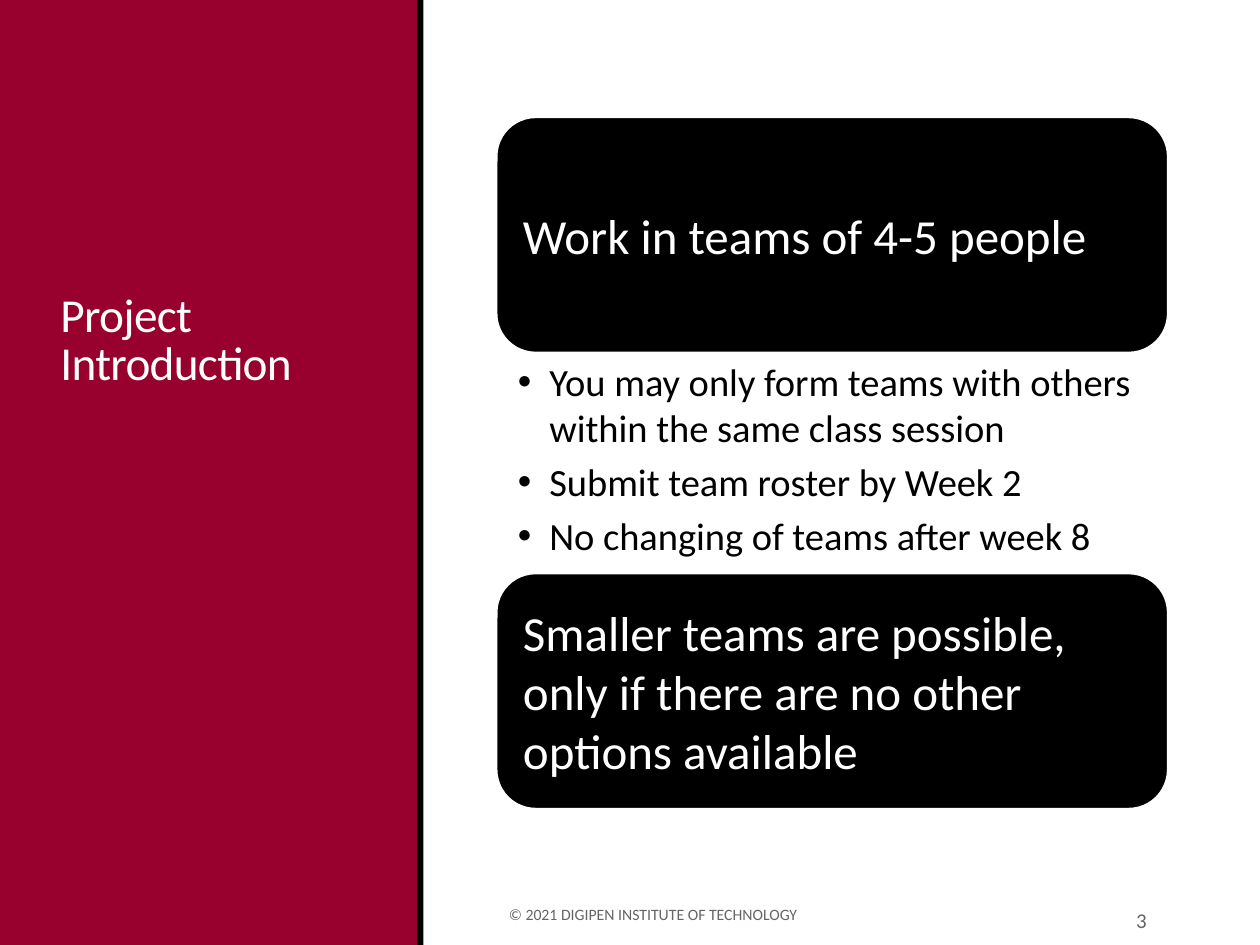
from dataclasses import dataclass

from lxml.etree import SubElement
from pptx import Presentation
from pptx.dml.color import RGBColor
from pptx.enum.shapes import MSO_SHAPE
from pptx.enum.text import MSO_ANCHOR, MSO_AUTO_SIZE, PP_ALIGN
from pptx.oxml.ns import qn
from pptx.util import Inches, Pt


@dataclass(frozen=True)
class Theme:
    font: str = "Calibri"
    crimson: str = "98012E"
    black: str = "000000"
    white: str = "FFFFFF"
    grey: str = "696464"
    title: float = 27
    card: float = 28
    bullet: float = 22
    number: float = 12
    footer: float = 9


THEME = Theme()


def write(p, text, size, color, align=PP_ALIGN.LEFT, after=0, spacing=None, tracking=None):
    p.alignment = align
    p.space_after = Pt(after)
    if spacing:
        p.line_spacing = spacing
    r = p.add_run()
    r.text = text
    r.font.name = THEME.font
    r.font.size = Pt(size)
    r.font.color.rgb = RGBColor.from_string(color)
    if tracking is not None:
        r.font._element.set("spc", str(round(tracking * 100)))


def set_frame(tf, anchor, insets=(0.1, 0.05, 0.1, 0.05)):
    """Wrap the text, fix its box and set left, top, right and bottom insets."""
    tf.word_wrap = True
    tf.auto_size = MSO_AUTO_SIZE.NONE
    tf.vertical_anchor = anchor
    tf.margin_left, tf.margin_top, tf.margin_right, tf.margin_bottom = map(Inches, insets)
    return tf


def add_bullet(p, indent):
    pPr = p._p.get_or_add_pPr()
    pPr.set("marL", str(Inches(indent)))
    pPr.set("indent", str(-Inches(indent)))
    SubElement(pPr, qn("a:buFont")).set("typeface", "Arial")
    SubElement(pPr, qn("a:buChar")).set("char", "•")


class SlideBuilder:
    def __init__(self, slide, theme):
        self.slide = slide
        self.theme = theme

    def shape(self, kind, box, fill, line=None):
        sp = self.slide.shapes.add_shape(kind, *map(Inches, box))
        sp.shadow.inherit = False
        sp.fill.solid()
        sp.fill.fore_color.rgb = RGBColor.from_string(fill)
        if line:
            sp.line.color.rgb = RGBColor.from_string(line)
            sp.line.width = Pt(1.25)
        else:
            sp.line.fill.background()
        return sp

    def panel(self, box, fill):
        """Add a background strip behind the title."""
        sp = self.shape(MSO_SHAPE.RECTANGLE, box, fill)
        self.slide.shapes.title.element.addprevious(sp.element)

    def title(self, text, box):
        sp = self.slide.shapes.title
        sp.left, sp.top, sp.width, sp.height = map(Inches, box)
        tf = set_frame(sp.text_frame, MSO_ANCHOR.BOTTOM)
        write(tf.paragraphs[0], text, self.theme.title, self.theme.white,
              spacing=0.85, tracking=-0.4)

    def card(self, text, box):
        sp = self.shape(MSO_SHAPE.ROUNDED_RECTANGLE, box, self.theme.black, self.theme.white)
        tf = set_frame(sp.text_frame, MSO_ANCHOR.MIDDLE, (0.12,) * 4)
        write(tf.paragraphs[0], text, self.theme.card, self.theme.white)

    def bullets(self, items, box):
        sp = self.slide.shapes.add_textbox(*map(Inches, box))
        tf = set_frame(sp.text_frame, MSO_ANCHOR.TOP, (0.17, 0.04, 0.22, 0.04))
        for i, text in enumerate(items):
            p = tf.add_paragraph() if i else tf.paragraphs[0]
            p.level = 1
            add_bullet(p, 0.25)
            write(p, text, self.theme.bullet, self.theme.black,
                  after=0.2 * self.theme.bullet)

    def footer(self, text, box, size, align=PP_ALIGN.LEFT):
        sp = self.slide.shapes.add_textbox(*map(Inches, box))
        tf = set_frame(sp.text_frame, MSO_ANCHOR.MIDDLE)
        write(tf.paragraphs[0], text, size, self.theme.grey, align=align, after=6)


def main():
    prs = Presentation()
    prs.slide_width, prs.slide_height = Inches(10), Inches(7.5)
    s = SlideBuilder(prs.slides.add_slide(prs.slide_layouts[5]), THEME)

    s.panel((0, 0, 3.32, 7.5), THEME.crimson)
    s.panel((3.31, 0, 0.05, 7.5), THEME.black)
    s.title("Project Introduction", (0.38, 0.65, 2.62, 2.5))

    left, top, width = 3.94, 0.93, 5.33
    card_height, list_height = 1.87, 1.75
    list_top = top + card_height
    s.card("Work in teams of 4-5 people", (left, top, width, card_height))
    s.bullets(["You may only form teams with others within the same class session",
               "Submit team roster by Week 2",
               "No changing of teams after week 8"],
              (left, list_top, width, list_height))
    s.card("Smaller teams are possible, only if there are no other options available",
           (left, list_top + list_height, width, card_height))

    s.footer("© 2021 DIGIPEN INSTITUTE OF TECHNOLOGY", (left, 7.06, 3.81, 0.4), THEME.footer)
    s.footer("3", (8.12, 7.1, 1.08, 0.4), THEME.number, PP_ALIGN.RIGHT)
    prs.save("out.pptx")


if __name__ == "__main__":
    main()
